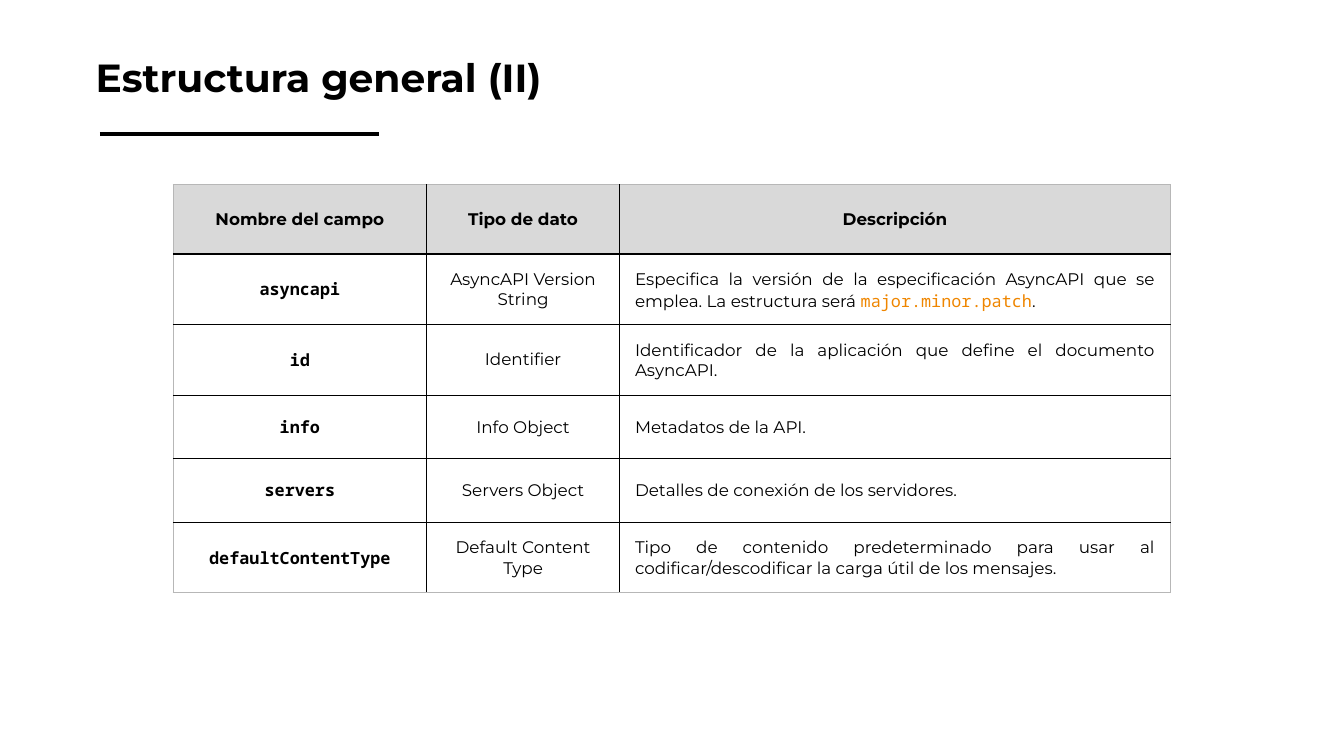
from dataclasses import dataclass

from lxml.etree import SubElement
from pptx import Presentation
from pptx.dml.color import RGBColor
from pptx.enum.shapes import MSO_CONNECTOR
from pptx.enum.text import MSO_ANCHOR, MSO_AUTO_SIZE, PP_ALIGN
from pptx.oxml.ns import qn
from pptx.util import Inches, Pt


@dataclass(frozen=True)
class Theme:
    """Fonts, colours, type sizes and line weights."""
    sans: str = "Montserrat"
    mono: str = "Noto Sans Mono"
    ink: str = "000000"
    code: str = "EF8600"
    header: str = "D9D9D9"
    frame: str = "B7B7B7"
    title_size: float = 28
    cell_size: float = 12
    rule_width: float = 3
    border_width: float = 1
    frame_width: float = 0.75


def add_run(p, text, font, size, color, bold=False):
    """Append formatted text to a paragraph."""
    r = p.add_run()
    r.text = text
    r.font.name = font
    r.font.size = Pt(size)
    r.font.bold = bold
    r.font.color.rgb = RGBColor.from_string(color)


class Deck:
    """Draws on the current slide using a grid of 160 columns by 90 rows."""

    def __init__(self, prs, theme):
        self.theme = theme
        self.col = prs.slide_width / 160
        self.row = prs.slide_height / 90
        self.slide = prs.slides.add_slide(prs.slide_layouts[5])

    def x(self, cols):
        """Convert grid columns to a length."""
        return round(cols * self.col)

    def y(self, rows):
        """Convert grid rows to a length."""
        return round(rows * self.row)

    def title(self, text, left, top, width, height):
        """Fill and place the title placeholder."""
        sp, t = self.slide.shapes.title, self.theme
        sp.left, sp.top = self.x(left), self.y(top)
        sp.width, sp.height = self.x(width), self.y(height)
        tf = sp.text_frame
        tf.word_wrap = True
        tf.auto_size = MSO_AUTO_SIZE.SHAPE_TO_FIT_TEXT
        tf.vertical_anchor = MSO_ANCHOR.MIDDLE
        tf.margin_left = tf.margin_right = tf.margin_top = tf.margin_bottom = Inches(0.13)
        p = tf.paragraphs[0]
        p.alignment = PP_ALIGN.LEFT
        p.line_spacing = 1.15
        add_run(p, text, t.sans, t.title_size, t.ink, bold=True)

    def rule(self, left, right, top):
        """Draw a horizontal rule."""
        y = self.y(top)
        sp = self.slide.shapes.add_connector(
            MSO_CONNECTOR.STRAIGHT, self.x(left), y, self.x(right), y)
        sp.line.color.rgb = RGBColor.from_string(self.theme.ink)
        sp.line.width = Pt(self.theme.rule_width)
        SubElement(sp._element.spPr, qn("a:effectLst"))

    def borders(self, cell, outer):
        """Draw four cell edges, lighter on the outer frame."""
        t = self.theme
        tc_pr = cell._tc.get_or_add_tcPr()
        for side in "LRTB":
            color, width = ((t.frame, t.frame_width) if side in outer
                            else (t.ink, t.border_width))
            ln = SubElement(tc_pr, qn(f"a:ln{side}"), w=str(Pt(width)))
            fill = SubElement(ln, qn("a:solidFill"))
            SubElement(fill, qn("a:srgbClr"), val=color)

    def cell(self, cell, runs, align, fill=None, outer=""):
        """Format one table cell and write its runs."""
        cell.margin_left = cell.margin_right = Inches(0.15)
        cell.margin_top = cell.margin_bottom = Inches(0.15)
        cell.vertical_anchor = MSO_ANCHOR.MIDDLE
        self.borders(cell, outer)
        if fill:
            cell.fill.solid()
            cell.fill.fore_color.rgb = RGBColor.from_string(fill)
        else:
            cell.fill.background()
        p = cell.text_frame.paragraphs[0]
        p.alignment = align
        for text, style in runs:
            add_run(p, text, size=self.theme.cell_size, **style)

    def table(self, header, fields, left, top, widths, heights):
        """Build the table of fields under its header row."""
        t = self.theme
        plain = dict(font=t.sans, color=t.ink)
        strong = dict(plain, bold=True)
        name = dict(strong, font=t.mono)
        code = dict(font=t.mono, color=t.code)
        rows = [[[(text, strong)] for text in header]]
        for field, kind, description in fields:
            parts = [(text, code if i % 2 else plain)
                     for i, text in enumerate(description.split("`"))]
            rows.append([[(field, name)], [(kind, plain)], parts])
        tbl = self.slide.shapes.add_table(
            len(rows), len(widths), self.x(left), self.y(top),
            self.x(sum(widths)), self.y(sum(heights))).table
        tbl.first_row = tbl.horz_banding = False
        for column, width in zip(tbl.columns, widths):
            column.width = self.x(width)
        last_row, last_col = len(rows) - 1, len(widths) - 1
        for i, row in enumerate(rows):
            tbl.rows[i].height = self.y(heights[i])
            for j, runs in enumerate(row):
                edges = dict(L=j == 0, R=j == last_col, T=i == 0, B=i == last_row)
                justified = i > 0 and j == last_col
                self.cell(tbl.cell(i, j), runs,
                          PP_ALIGN.JUSTIFY if justified else PP_ALIGN.CENTER,
                          fill=t.header if i == 0 else None,
                          outer=[side for side, on in edges.items() if on])


HEADER = ("Nombre del campo", "Tipo de dato", "Descripción")
FIELDS = [
    ("asyncapi", "AsyncAPI Version String",
     "Especifica la versión de la especificación AsyncAPI que se emplea. "
     "La estructura será `major.minor.patch`."),
    ("id", "Identifier",
     "Identificador de la aplicación que define el documento AsyncAPI."),
    ("info", "Info Object", "Metadatos de la API."),
    ("servers", "Servers Object", "Detalles de conexión de los servidores."),
    ("defaultContentType", "Default Content Type",
     "Tipo de contenido predeterminado para usar al codificar/descodificar "
     "la carga útil de los mensajes."),
]


def main():
    """Build and save the slide."""
    prs = Presentation()
    prs.slide_width, prs.slide_height = Inches(13.33), Inches(7.5)
    deck = Deck(prs, Theme())
    deck.rule(11.9, 45.1, 16)
    deck.title("Estructura general (II)", 9.84, 3.84, 105, 9.72)
    short, tall = 7.56, 8.4
    deck.table(HEADER, FIELDS, left=20.64, top=21.96,
               widths=(30.12, 23.04, 65.52),
               heights=(8.28, tall, tall, short, short, tall))
    prs.save("out.pptx")


main()
